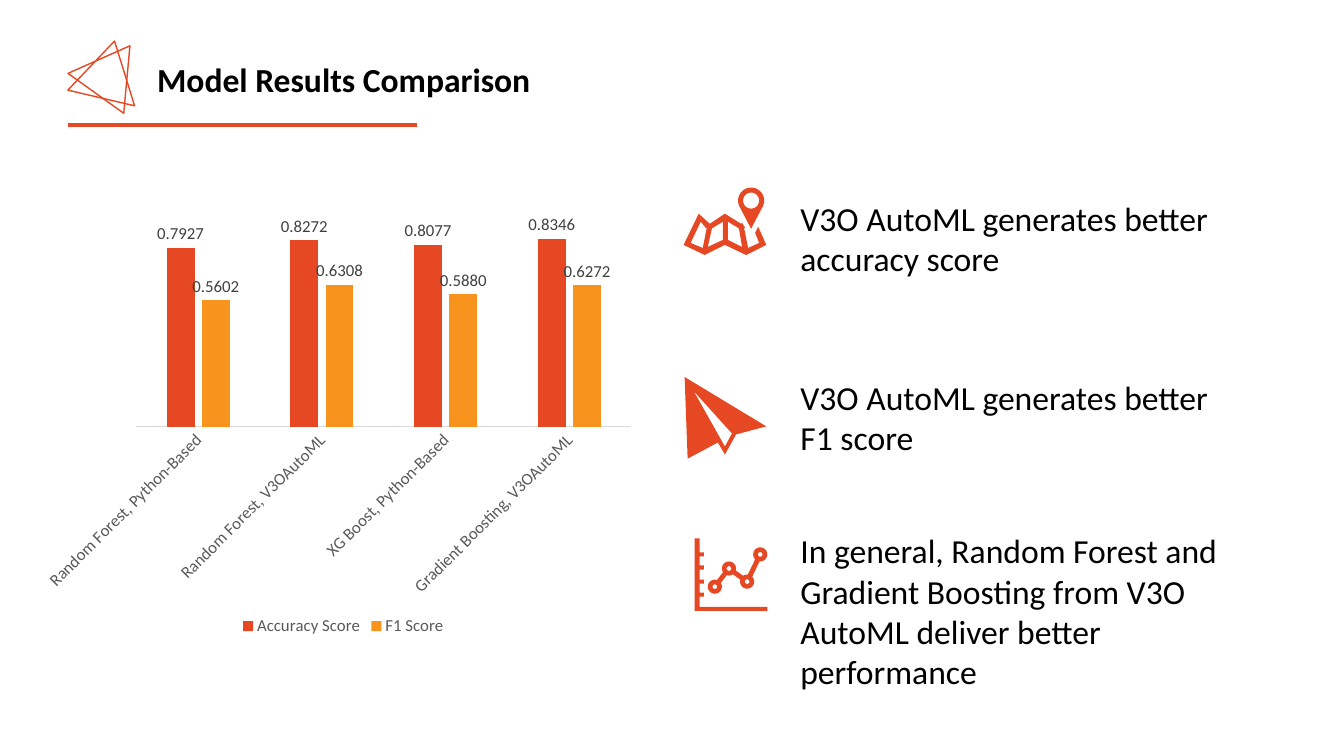
import math
import pptx
import pptx.util
import pptx.dml.color
import pptx.chart.data
import pptx.enum.chart
import pptx.enum.shapes
import pptx.enum.text
import pptx.oxml.ns
import lxml.etree

PX = 9144  # one px is a hundredth of an inch
RGB = pptx.dml.color.RGBColor.from_string
THEME = {
    "red": RGB("E64823"), "gold": RGB("F8931D"), "black": RGB("000000"),
    "gray": RGB("595959"), "dark": RGB("404040"), "rule": RGB("D9D9D9"),
    "face": "Calibri", "big": pptx.util.Pt(24), "small": pptx.util.Pt(12),
}

deck = pptx.Presentation()
deck.slide_width, deck.slide_height = 1333 * PX, 750 * PX
slide = deck.slides.add_slide(deck.slide_layouts[6])
shapes = slide.shapes
fonts = []  # (font, size, colour, bold)


def arc(x, y, r, start=0, end=345, step=15):
    """Points on a circle, clockwise between two angles in degrees."""
    count = max(1, round((end - start) / step))
    turns = [math.radians(start + (end - start) * i / count) for i in range(count + 1)]
    return [(x + r * math.cos(t), y + r * math.sin(t)) for t in turns]


def draw(paths):
    """One red icon made of closed outlines; inner ones are holes."""
    paths = [[(round(x * PX), round(y * PX)) for x, y in path] for path in paths]
    pen = shapes.build_freeform(*paths[0][0], scale=1.0)
    for i, path in enumerate(paths):
        if i:
            pen.move_to(*path[0])
        pen.add_line_segments(path[1:], close=True)
    icon = pen.convert_to_shape()
    icon.shadow.inherit = False
    icon.fill.solid()
    icon.fill.fore_color.rgb = THEME["red"]
    icon.line.fill.background()


# Header mark: two turned triangles
for left, turn in ((78, 35.6), (73, 13.2)):
    mark = shapes.add_shape(pptx.enum.shapes.MSO_SHAPE.ISOSCELES_TRIANGLE,
                            left * PX, 40 * PX, 68 * PX, 58 * PX)
    mark.rotation = turn
    mark.shadow.inherit = False
    mark.fill.background()
    mark.line.color.rgb = THEME["red"]
    mark.line.width = pptx.util.Pt(1)

# Header rule
rule = shapes.add_connector(pptx.enum.shapes.MSO_CONNECTOR.STRAIGHT,
                            67 * PX, 124 * PX, 414 * PX, 124 * PX)
rule.line.color.rgb = THEME["red"]
rule.line.width = pptx.util.Pt(3)
lxml.etree.SubElement(rule._element.spPr, pptx.oxml.ns.qn("a:effectLst"))

# Title and findings
texts = [
    ((146, 54, 473, 50), "Model Results Comparison", True),
    ((784, 191, 442, 91), "V3O AutoML generates better accuracy score", False),
    ((784, 369, 442, 91), "V3O AutoML generates better F1 score", False),
    ((784, 521, 483, 172), "In general, Random Forest and Gradient Boosting "
     "from V3O AutoML deliver better performance", False),
]
for box, words, bold in texts:
    frame = shapes.add_textbox(*(n * PX for n in box)).text_frame
    frame.word_wrap = True
    frame.auto_size = pptx.enum.text.MSO_AUTO_SIZE.SHAPE_TO_FIT_TEXT
    run = frame.paragraphs[0].add_run()
    run.text = words
    fonts.append((run.font, "big", "black", bold))

# Score chart
data = pptx.chart.data.CategoryChartData(number_format="#,##0.0000")
data.categories = ["Random Forest, Python-Based", "Random Forest, V3OAutoML",
                   "XG Boost, Python-Based", "Gradient Boosting, V3OAutoML"]
data.add_series("Accuracy Score", (0.7927, 0.8272, 0.8077, 0.8346))
data.add_series("F1 Score", (0.5602, 0.6308, 0.5880, 0.6272))
chart = shapes.add_chart(pptx.enum.chart.XL_CHART_TYPE.COLUMN_CLUSTERED,
                         43 * PX, 213 * PX, 595 * PX, 422 * PX, data).chart
chart.has_title = False
chart.has_legend = True
plot, legend = chart.plots[0], chart.legend
cats, vals = chart.category_axis, chart.value_axis
none = pptx.enum.chart.XL_TICK_MARK.NONE
formats = [
    (plot, {"gap_width": 219, "overlap": -27, "vary_by_categories": False}),
    (legend, {"position": pptx.enum.chart.XL_LEGEND_POSITION.BOTTOM,
              "include_in_layout": False}),
    (cats, {"major_tick_mark": none, "minor_tick_mark": none}),
    (vals, {"visible": False, "has_major_gridlines": False, "minimum_scale": 0}),
]
for part, values in formats:
    for key, value in values.items():
        setattr(part, key, value)
cats.format.line.color.rgb = THEME["rule"]
cats.format.line.width = pptx.util.Pt(0.75)
fonts += [(chart.font, "small", "black", False),
          (legend.font, "small", "gray", False),
          (cats.tick_labels.font, "small", "gray", False)]
cats._element.txPr.bodyPr.set("rot", "-60000000")  # automatic label angle
for series, tone in zip(plot.series, ("red", "gold")):
    series.format.fill.solid()
    series.format.fill.fore_color.rgb = THEME[tone]
    labels = series.data_labels
    marks = {"show_value": True, "number_format": "#,##0.0000",
             "number_format_is_linked": False,
             "position": pptx.enum.chart.XL_LABEL_POSITION.OUTSIDE_END}
    for key, value in marks.items():
        setattr(labels, key, value)
    fonts.append((labels.font, "small", "dark", False))

# Fonts
for font, size, tone, bold in fonts:
    for key, value in {"name": THEME["face"], "size": THEME[size], "bold": bold}.items():
        setattr(font, key, value)
    font.color.rgb = THEME[tone]

# Map icon: pin, folded sheet and its panels
draw([
    arc(745, 199, 13, 157, 383) + [(745, 227)],
    arc(745, 199, 8),
    [(749, 231), (753, 241), (742, 246), (738, 226), (739, 226), (736, 221),
     (735, 222), (719, 212), (704, 222), (693, 212), (678, 243), (699, 253),
     (719, 243), (740, 253), (760, 243), (752, 225)],
    [(697, 246), (685, 241), (695, 220), (700, 226), (701, 226)],
    [(717, 238), (702, 245), (706, 227), (707, 226), (717, 220)],
    [(722, 238), (722, 220), (732, 226), (733, 227), (736, 245)],
])

# Paper plane icon
draw([
    [(679, 374), (682, 455), (712, 439), (719, 451), (730, 431), (760, 423)],
    [(719, 443), (688, 388), (726, 430)],
])

# Line chart icon: axes with ticks, then a chain of ringed nodes
axes = [(694, 602), (761, 602), (761, 606), (689, 606), (689, 534), (694, 534)]
for top in (548, 561, 575, 588):
    axes += [(694, top), (698, top), (698, top + 4), (694, top + 4)]
nodes = [(709, 582), (723, 564), (741, 577), (754, 550)]
tour = nodes + nodes[2:0:-1]
chain = []
for i, (x, y) in enumerate(tour):
    back, ahead = tour[i - 1], tour[(i + 1) % len(tour)]
    start, end = (math.degrees(math.atan2(v - y, u - x)) for u, v in (back, ahead))
    start, end = start + 20, end - 20
    while end <= start:
        end += 360
    chain += arc(x, y, 7, start, end)
draw([axes, chain] + [arc(x, y, 2.3) for x, y in nodes])

deck.save("out.pptx")
